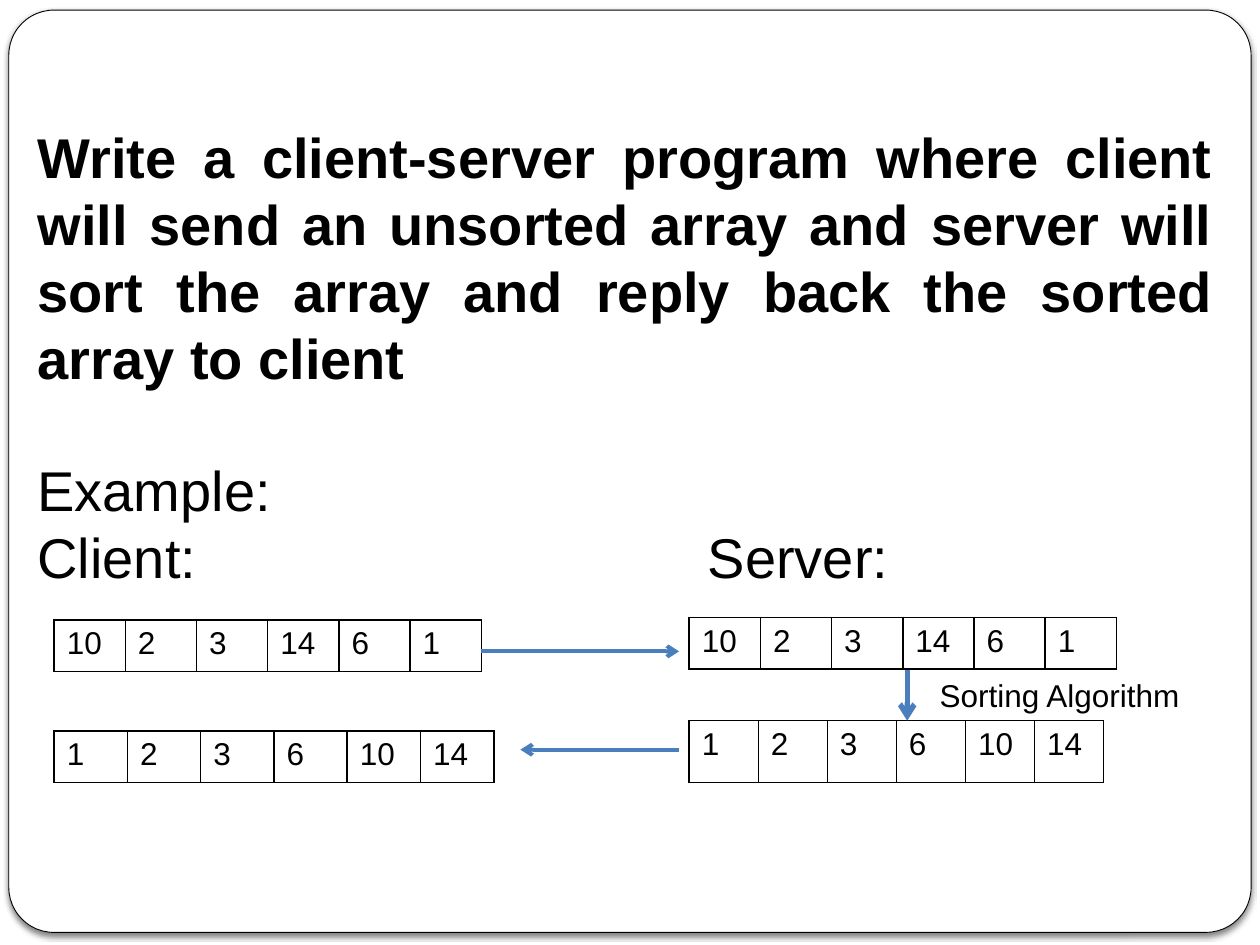
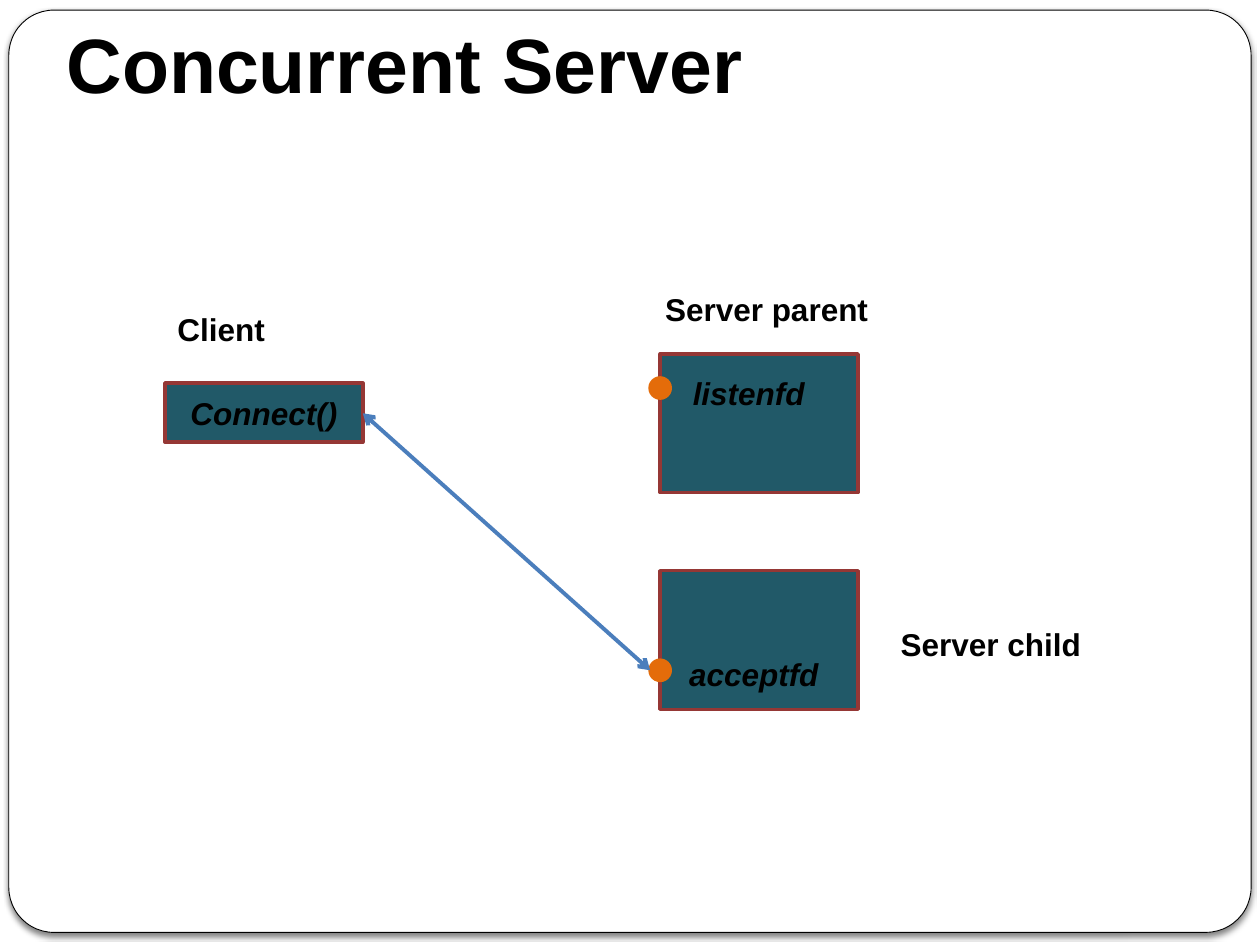
from dataclasses import dataclass

from lxml.etree import SubElement
from pptx import Presentation
from pptx.dml.color import RGBColor
from pptx.enum.shapes import MSO_CONNECTOR, MSO_SHAPE
from pptx.enum.text import MSO_ANCHOR, PP_ALIGN
from pptx.oxml.ns import qn
from pptx.util import Inches, Pt


@dataclass(frozen=True)
class Theme:
    font: str = "Arial"
    ink: str = "000000"
    paper: str = "FFFFFF"
    arrow: str = "4B7EBC"
    process: str = "215968"
    process_edge: str = "953735"
    socket: str = "E46C0A"
    title_size: float = 44
    task_size: float = 32
    label_size: float = 18


COLUMNS, ROWS = 100, 75


class Deck:
    """Holds the theme and current slide; places are in grid columns and rows."""

    def __init__(self, theme):
        self.theme = theme
        self.presentation = Presentation()
        self.presentation.slide_width = Inches(10)
        self.presentation.slide_height = Inches(7.5)
        self.slide = None

    def place(self, *lengths):
        """Turn alternating columns and rows into slide lengths."""
        units = (self.presentation.slide_width / COLUMNS,
                 self.presentation.slide_height / ROWS)
        return [round(n * units[i % 2]) for i, n in enumerate(lengths)]

    def new_slide(self):
        layout = self.presentation.slide_layouts[6]
        self.slide = self.presentation.slides.add_slide(layout)
        self.frame()

    def frame(self):
        panel = self.box((0.7, 0.8, 98.6, 73.2), self.theme.paper,
                         self.theme.ink, 0.5, MSO_SHAPE.ROUNDED_RECTANGLE)
        panel.adjustments[0] = 0.049
        effects = panel.element.spPr.find(qn("a:effectLst"))
        shadow = SubElement(effects, qn("a:outerShdw"), blurRad=str(Pt(3)),
                            dist=str(Pt(2)), dir="5400000", rotWithShape="0")
        color = SubElement(shadow, qn("a:srgbClr"), val=self.theme.ink)
        SubElement(color, qn("a:alpha"), val="50000")

    def box(self, area, fill, edge, edge_width=2, preset=MSO_SHAPE.RECTANGLE):
        shape = self.slide.shapes.add_shape(preset, *self.place(*area))
        shape.shadow.inherit = False
        shape.fill.solid()
        shape.fill.fore_color.rgb = RGBColor.from_string(fill)
        shape.line.color.rgb = RGBColor.from_string(edge)
        shape.line.width = Pt(edge_width)
        return shape

    def process(self, area, call=None):
        block = self.box(area, self.theme.process, self.theme.process_edge)
        if call:
            block.text_frame.vertical_anchor = MSO_ANCHOR.MIDDLE
            self.set_text(block.text_frame.paragraphs[0], call, bold=True,
                          italic=True, align=PP_ALIGN.CENTER)

    def socket(self, left, top):
        self.box((left, top, 1.6, 1.6), self.theme.socket, self.theme.socket,
                 preset=MSO_SHAPE.OVAL)

    def set_text(self, paragraph, text, size=None, bold=False, italic=False,
                 align=PP_ALIGN.LEFT):
        paragraph.text = text
        paragraph.alignment = align
        font = paragraph.font
        font.name = self.theme.font
        font.size = Pt(size or self.theme.label_size)
        font.bold, font.italic = bold, italic
        font.color.rgb = RGBColor.from_string(self.theme.ink)

    def text_frame(self, area):
        frame = self.slide.shapes.add_textbox(*self.place(*area)).text_frame
        frame.word_wrap = True
        return frame

    def label(self, area, text, **style):
        self.set_text(self.text_frame(area).paragraphs[0], text, **style)

    def title(self, text):
        heading = self.text_frame((4.3, 0.3, 85, 9.4))
        heading.vertical_anchor = MSO_ANCHOR.MIDDLE
        self.set_text(heading.paragraphs[0], text, self.theme.title_size,
                      bold=True)

    def task(self, area, assignment, example, sides, side_column):
        """Set the assignment, then an example heading with two tabbed sides."""
        frame = self.text_frame(area)
        size = self.theme.task_size
        self.set_text(frame.paragraphs[0], assignment, size, bold=True,
                      align=PP_ALIGN.JUSTIFY)
        heading = frame.add_paragraph()
        self.set_text(heading, example, size)
        heading.space_before = Pt(1.15 * size)
        side_line = frame.add_paragraph()
        tabs = SubElement(side_line._p.get_or_add_pPr(), qn("a:tabLst"))
        SubElement(tabs, qn("a:tab"), pos=str(self.place(side_column)[0]), algn="l")
        self.set_text(side_line, "\t".join(sides), size)

    def array(self, area, values):
        table = self.slide.shapes.add_table(
            1, len(values), *self.place(*area)).table
        table.first_row = table.horz_banding = False
        for cell, value in zip(table.rows[0].cells, values):
            self.set_text(cell.text_frame.paragraphs[0], str(value))
            properties = cell._tc.get_or_add_tcPr()
            for side in ("lnL", "lnR", "lnT", "lnB"):
                border = SubElement(properties, qn(f"a:{side}"), w=str(Pt(1)))
                fill = SubElement(border, qn("a:solidFill"))
                SubElement(fill, qn("a:srgbClr"), val=self.theme.ink)
            cell.fill.background()

    def arrow(self, start, end, width=2.25, both_ways=False):
        line = self.slide.shapes.add_connector(
            MSO_CONNECTOR.STRAIGHT, *self.place(*start, *end))
        line.line.color.rgb = RGBColor.from_string(self.theme.arrow)
        line.line.width = Pt(width)
        properties = line.element.spPr
        outline = properties.find(qn("a:ln"))
        for tip in ("headEnd", "tailEnd") if both_ways else ("tailEnd",):
            SubElement(outline, qn(f"a:{tip}"), type="arrow")
        SubElement(properties, qn("a:effectLst"))


def sorting_task(deck):
    deck.new_slide()
    deck.task((2, 9.2, 95.3, 62.9),
              "Write a client-server program where client will send an unsorted "
              "array and server will sort the array and reply back the sorted "
              "array to client",
              "Example:", ("Client:", "Server:"), side_column=53.2)
    unsorted = [10, 2, 3, 14, 6, 1]
    deck.array((4.3, 49.2, 33.9, 4.1), unsorted)
    deck.array((54.7, 49, 33.9, 4.1), unsorted)
    deck.array((54.7, 57.2, 32.9, 4.9), sorted(unsorted))
    deck.array((4.3, 58, 34.9, 4.1), sorted(unsorted))
    deck.arrow((38.2, 51.7), (53.9, 51.7))
    deck.arrow((72, 53.2), (72, 57.2), width=3)
    deck.arrow((53.9, 59.5), (41.3, 59.5))
    deck.label((73.6, 53.2, 22, 4), "Sorting Algorithm")


def concurrent_server(deck):
    deck.new_slide()
    deck.title("Concurrent Server")
    deck.process((13.1, 30.4, 15.7, 4.7), "Connect()")
    servers = [(28.1, 30, (54, 29.2, 11.7, 4), "listenfd"),
               (45.3, 52.4, (53.7, 51.5, 12.8, 4), "acceptfd")]
    for top, socket_top, name_area, descriptor in servers:
        deck.process((52.4, top, 15.7, 11))
        deck.socket(51.6, socket_top)
        deck.label(name_area, descriptor, bold=True, italic=True)
    for left, top, role in [(13.1, 24.1, "Client"),
                            (51.8, 22.5, "Server parent"),
                            (70.5, 49.1, "Server child")]:
        deck.label((left, top, 21, 4), role, bold=True)
    deck.arrow((28.8, 32.8), (51.6, 53.2), both_ways=True)


def main():
    deck = Deck(Theme())
    sorting_task(deck)
    concurrent_server(deck)
    deck.presentation.save("out.pptx")


if __name__ == "__main__":
    main()
